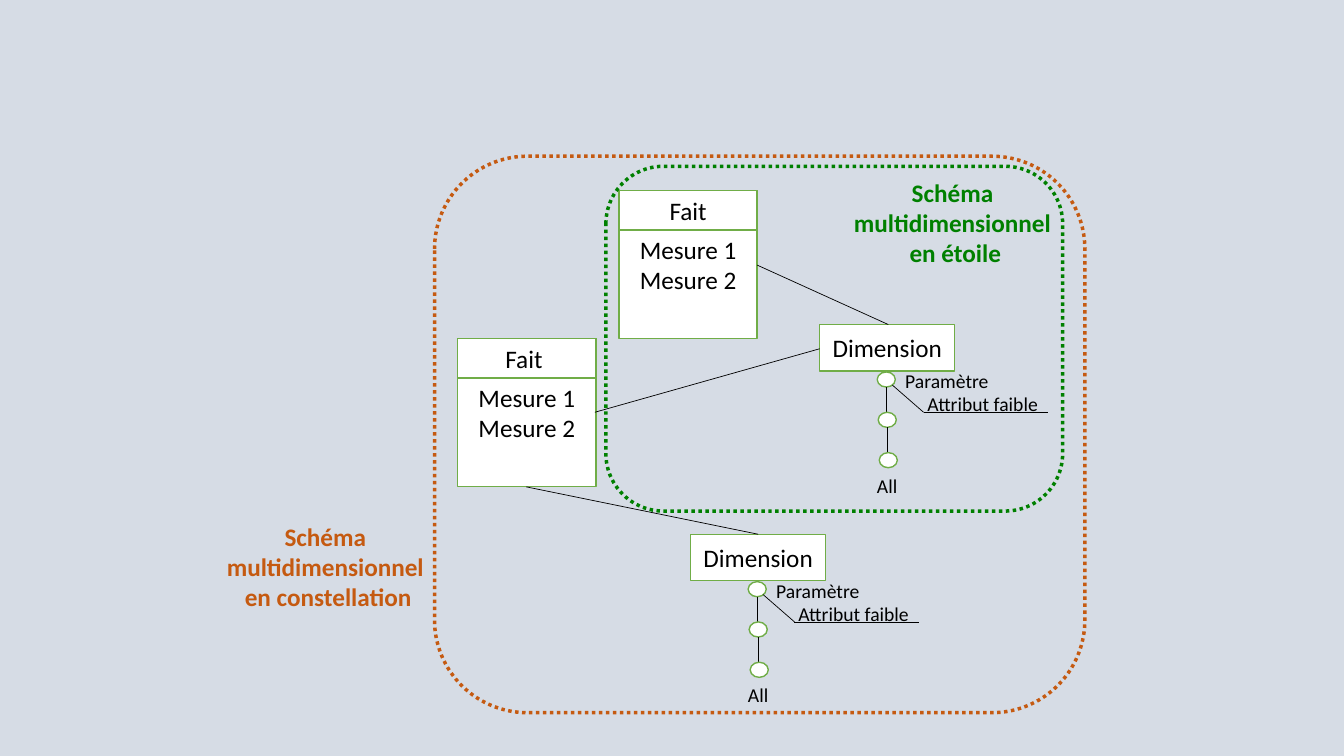
from dataclasses import dataclass

from lxml import etree
from pptx import Presentation
from pptx.dml.color import RGBColor
from pptx.enum.dml import MSO_LINE
from pptx.enum.shapes import MSO_CONNECTOR, MSO_SHAPE
from pptx.enum.text import MSO_ANCHOR, PP_ALIGN
from pptx.oxml.ns import qn
from pptx.shapes.autoshape import Shape
from pptx.slide import Slide
from pptx.util import Inches, Pt

RECT, OVAL, ROUND = MSO_SHAPE.RECTANGLE, MSO_SHAPE.OVAL, MSO_SHAPE.ROUNDED_RECTANGLE
STRAIGHT, DOTS = MSO_CONNECTOR.STRAIGHT, MSO_LINE.ROUND_DOT
LEFT, CENTER = PP_ALIGN.LEFT, PP_ALIGN.CENTER
TOP, MIDDLE = MSO_ANCHOR.TOP, MSO_ANCHOR.MIDDLE

BLACK = RGBColor(0x00, 0x00, 0x00)
WHITE = RGBColor(0xFF, 0xFF, 0xFF)
GREY = RGBColor(0xD6, 0xDC, 0xE5)
LEAF = RGBColor(0x70, 0xAD, 0x47)
GREEN = RGBColor(0x00, 0x80, 0x00)
ORANGE = RGBColor(0xC5, 0x5A, 0x11)

BODY = {"name": "Calibri", "size": Pt(18)}
SMALL = {**BODY, "size": Pt(14)}
BOLD = {**BODY, "bold": True}

Box = tuple[float, float, float, float]
Point = tuple[float, float]


@dataclass(frozen=True)
class Fact:
    x: float
    y: float
    title: str


@dataclass(frozen=True)
class Schema:
    frame: Box
    label: Point
    lines: list[str]
    color: RGBColor


FACTS = [Fact(4.54, 3.36, "Fait "), Fact(6.14, 1.89, "Fait")]
DIMS: list[Point] = [(8.13, 3.22), (6.85, 5.3)]
LINKS: list[tuple[Point, Point]] = [
    ((5.9, 4.09), (8.13, 3.46)),
    ((5.22, 4.83), (7.52, 5.3)),
    ((7.51, 2.63), (8.81, 3.22)),
]
SCHEMAS = [
    Schema((6.01, 1.65, 4.53, 3.42), (8.2, 1.71),
           ["Schéma ", "multidimensionnel ", "en étoile"], GREEN),
    Schema((4.31, 1.55, 6.45, 5.52), (1.98, 5.12),
           ["Schéma ", "multidimensionnel ", "en constellation"], ORANGE),
]


def write(shape: Shape, lines: list[str], form: dict, color: RGBColor = BLACK,
          align: PP_ALIGN = CENTER, anchor: MSO_ANCHOR = MIDDLE) -> None:
    frame = shape.text_frame
    frame.word_wrap = True
    frame.vertical_anchor = anchor
    frame.text = "\n".join(lines)
    for para in frame.paragraphs:
        para.alignment = align
        for key, value in form.items():
            setattr(para.font, key, value)
        para.font.color.rgb = color


def draw_shape(slide: Slide, kind: MSO_SHAPE, box: Box) -> Shape:
    shape = slide.shapes.add_shape(kind, *map(Inches, box))
    shape.shadow.inherit = False
    shape.fill.solid()
    shape.fill.fore_color.rgb = WHITE
    shape.line.color.rgb = LEAF
    shape.line.width = Pt(1)
    return shape


def draw_text(slide: Slide, box: Box, lines: list[str], form: dict,
              color: RGBColor = BLACK, align: PP_ALIGN = LEFT) -> Shape:
    shape = slide.shapes.add_textbox(*map(Inches, box))
    write(shape, lines, form, color, align, TOP)
    return shape


def draw_line(slide: Slide, start: Point, end: Point) -> None:
    line = slide.shapes.add_connector(STRAIGHT, *map(Inches, start + end))
    line.line.color.rgb = BLACK
    line.line.width = Pt(0.5)
    etree.SubElement(line._element.spPr, qn("a:effectLst"))


def draw_fact(slide: Slide, fact: Fact) -> None:
    body = draw_shape(slide, RECT, (fact.x, fact.y, 1.37, 1.47))
    write(body, ["Mesure 1", "Mesure 2"], BODY)
    head = draw_shape(slide, RECT, (fact.x, fact.y, 1.37, 0.39))
    write(head, [fact.title], BODY)


def draw_dim(slide: Slide, x: float, y: float) -> None:
    """Draw a dimension box with its chain of three levels below."""
    write(draw_shape(slide, RECT, (x, y, 1.34, 0.46)), ["Dimension"], BODY)
    for level in range(3):
        left, top = x + 0.57 + 0.01 * level, y + 0.47 + 0.4 * level
        draw_shape(slide, OVAL, (left, top, 0.18, 0.15))
        if level < 2:
            draw_line(slide, (left + 0.09, top + 0.15), (left + 0.09, top + 0.4))
    bend = (x + 1.03, y + 0.87)
    draw_line(slide, (x + 0.72, y + 0.6), bend)
    draw_line(slide, bend, (x + 2.26, y + 0.87))
    note = draw_text(slide, (x + 0.75, y + 0.39, 1.66, 0.56),
                     ["Paramètre", "Attribut faible"], SMALL)
    weak = note.text_frame.paragraphs[1]._p.get_or_add_pPr()
    weak.set("marL", str(Inches(0.22)))
    draw_text(slide, (x + 0.47, y + 1.43, 0.83, 0.33), ["All"], SMALL)


def draw_schema(slide: Slide, schema: Schema) -> None:
    frame = draw_shape(slide, ROUND, schema.frame)
    frame.fill.background()
    frame.line.color.rgb = schema.color
    frame.line.width = Pt(2.5)
    frame.line.dash_style = DOTS
    draw_text(slide, (*schema.label, 2.55, 1.31), schema.lines, BOLD,
              schema.color, CENTER)


def main() -> None:
    deck = Presentation()
    deck.slide_width, deck.slide_height = Inches(13.33), Inches(7.5)
    slide = deck.slides.add_slide(deck.slide_layouts[6])
    back = slide.background.fill
    back.solid()
    back.fore_color.rgb = GREY
    for fact in FACTS:
        draw_fact(slide, fact)
    for x, y in DIMS:
        draw_dim(slide, x, y)
    for start, end in LINKS:
        draw_line(slide, start, end)
    for schema in SCHEMAS:
        draw_schema(slide, schema)
    deck.save("out.pptx")


if __name__ == "__main__":
    main()
